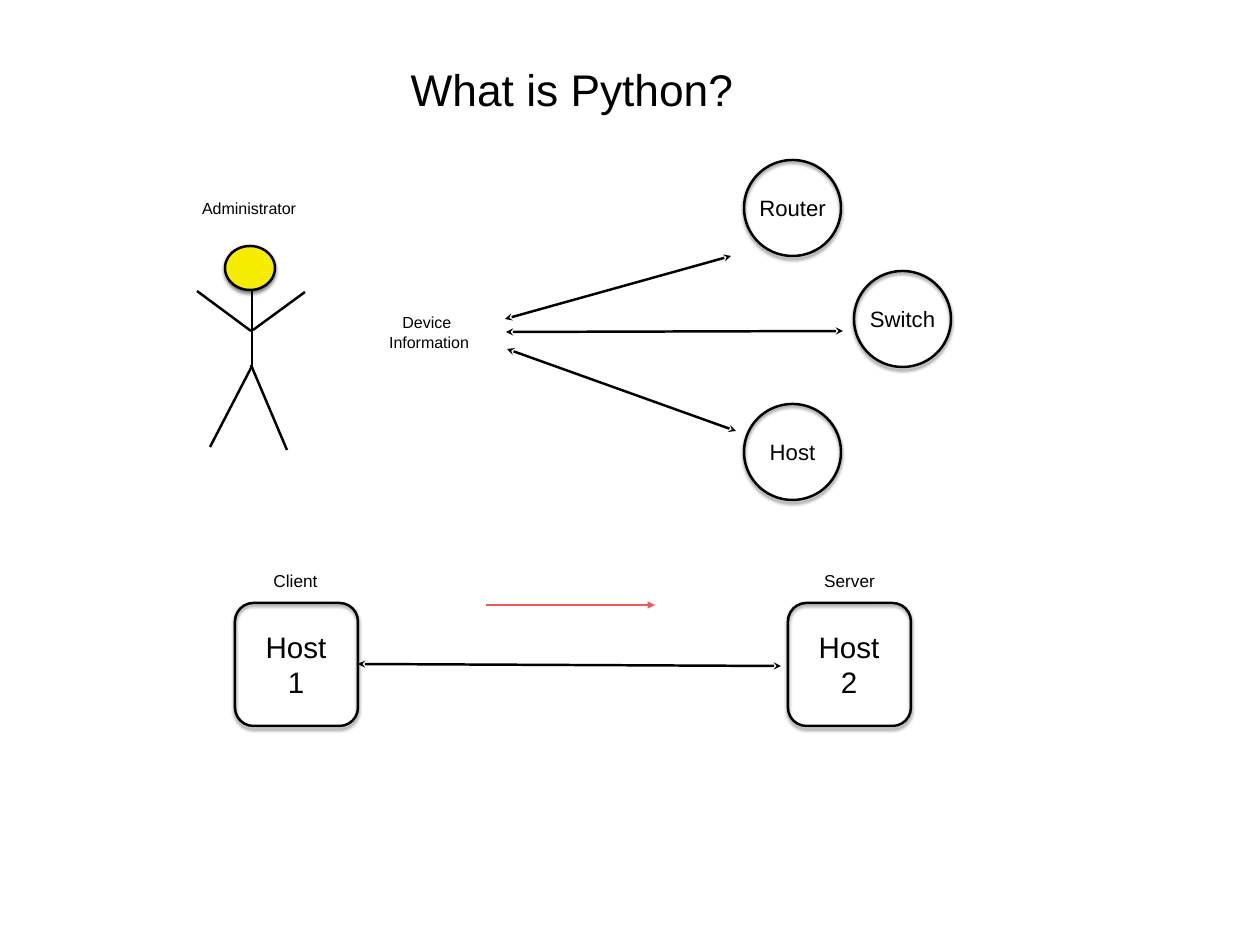
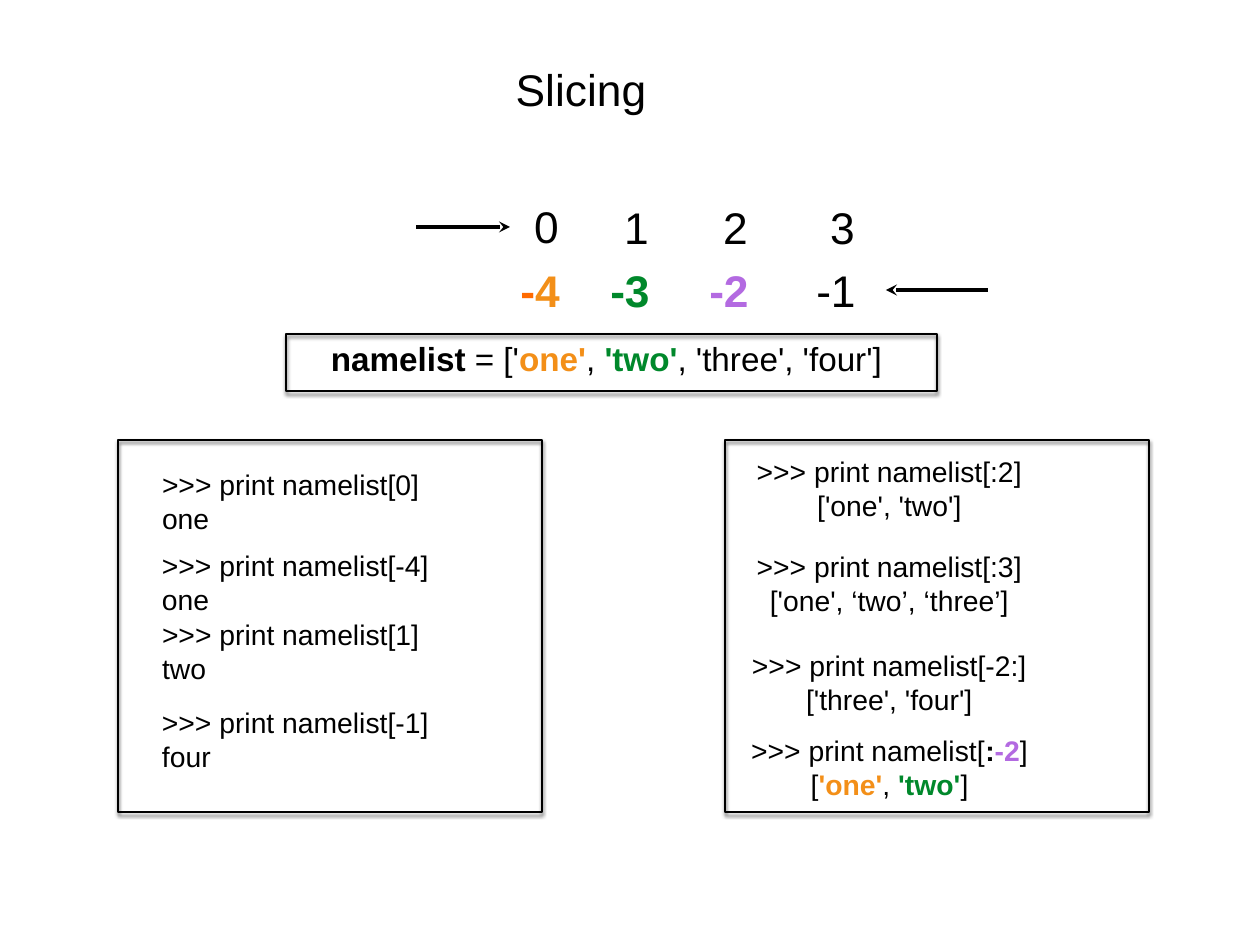
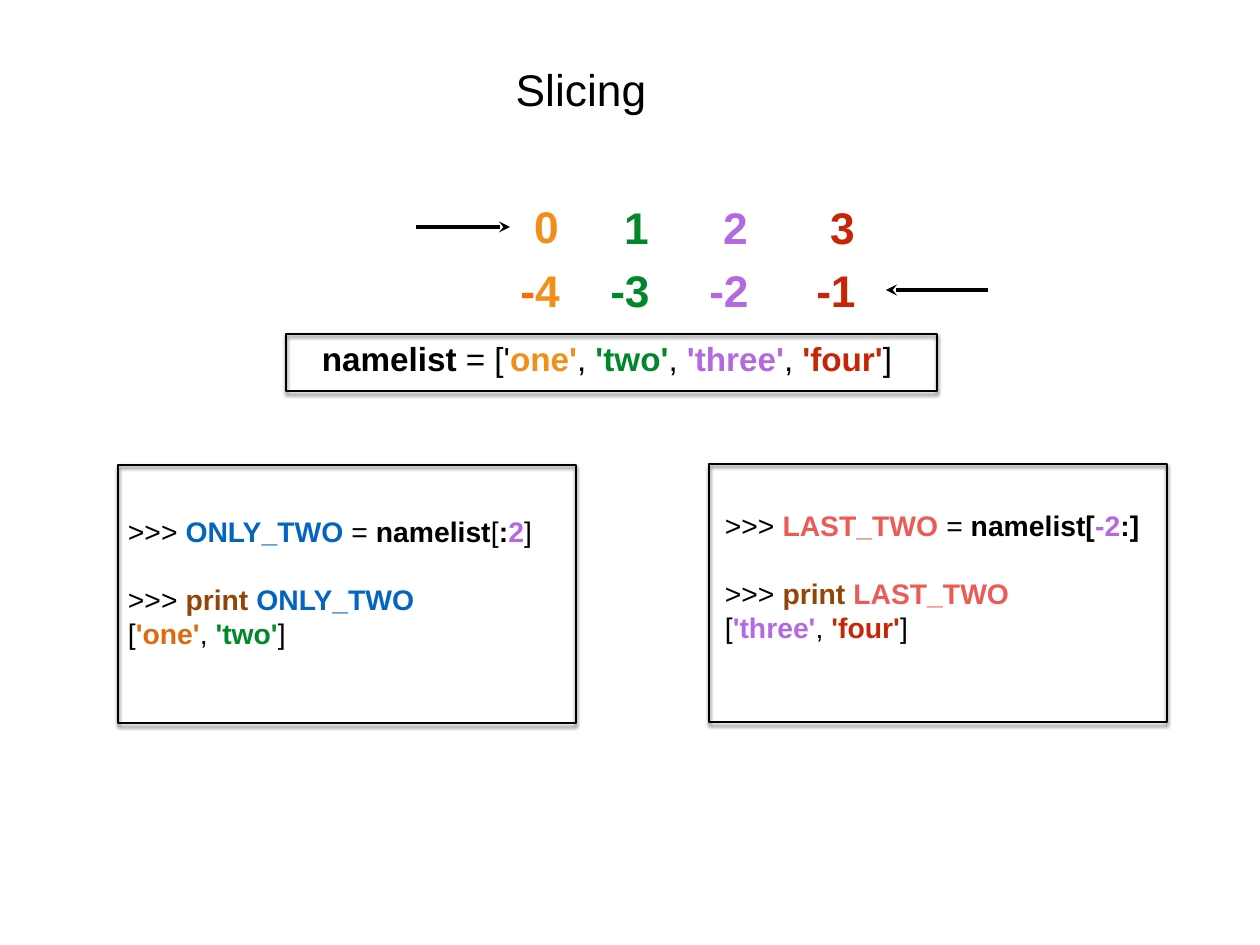
"""Build three slides on Python basics: its role in a network, and list slicing."""
from lxml.etree import SubElement
from pptx import Presentation
from pptx.dml.color import RGBColor
from pptx.enum.shapes import MSO_CONNECTOR, MSO_SHAPE
from pptx.enum.text import MSO_ANCHOR, MSO_AUTO_SIZE, PP_ALIGN
from pptx.oxml.ns import qn
from pptx.util import Emu, Pt

PX = 10320
SLIDE_SIZE = (1260, 945)
TITLE_ONLY = 5
FONT = "Arial"
SIZES = {"title": 36, "index": 36, "list": 27, "host": 24, "code": 23,
         "device": 18, "caption": 14, "note": 13}
COLORS = {"ink": "000000", "strong": "000000", "orange": "F38F18", "flame": "FF6A00",
          "rust": "DE6A10", "green": "00882B", "violet": "B36AE1", "red": "C82506",
          "blue": "0365C0", "brown": "924507", "coral": "EC5C57", "yellow": "F5EC00"}
FRAME = {"word_wrap": False, "auto_size": MSO_AUTO_SIZE.SHAPE_TO_FIT_TEXT,
         "vertical_anchor": MSO_ANCHOR.MIDDLE,
         **{f"margin_{side}": Emu(5 * PX) for side in ("left", "right", "top", "bottom")}}
SHADOW = {"blurRad": Pt(3), "dist": Pt(2), "dir": 90 * 60000, "rotWithShape": 0}
BLANK_LINE = 28

CIRCLE = (97, 96)
DEVICES = [("Router", 744, 160), ("Switch", 854, 271), ("Host", 744, 404)]
DEVICE_LABEL = (97, 37)
HOST_TOP, HOST_SIDE, HOST_LABEL = 603, 123, (80, 82)
HOSTS = [("1", 235), ("2", 788)]
NOTES = [
    (["Administrator"], (196, 194, 106, 29), "note"),
    (["Device ", "Information"], (373, 307, 112, 50), "note"),
    (["Client"], (263, 565, 65, 31), "caption"),
    (["Server"], (814, 565, 71, 31), "caption"),
]
HEAD = (225, 246, 50, 44)
LIMBS = [(252, 291, 252, 367), (251, 365, 287, 450), (252, 366, 210, 447),
         (253, 330, 305, 292), (251, 331, 197, 291)]
LINKS = [(731, 256, 505, 319), (843, 331, 506, 332), (736, 431, 507, 349),
         (781, 666, 358, 664)]
REQUEST = (486, 605, 655, 605)

COLUMNS = [(513, 191), (603, 192), (702, 192), (809, 192)]
INDEX_HEIGHT, POSITIVE_WIDTH, NEGATIVE_WIDTH = 70, 37, 54
POSITIVE_INDENT, NEGATIVE_TOP = 15, 255
POINTERS = [(886, 290, 988, 290), (510, 227, 416, 227)]
LIST_BOX = (286, 334, 651, 57)
LIST_START = [("namelist", "strong"), (" = ['", "ink"), ("one'", "orange"),
              (", ", "ink"), ("'two'", "green")]
ONE_TWO = [("[", "ink"), ("'one'", "orange"), (", ", "ink"), ("'two'", "green"), ("]", "ink")]
LEFT, CENTER = PP_ALIGN.LEFT, PP_ALIGN.CENTER

SLICING = [
    {
        "positive": ["ink"] * 4,
        "negative": ["orange", "green", "violet", "ink"],
        "list": (LIST_START + [(", 'three', 'four']", "ink")], (320, 333, 573, 50)),
        "panels": [(118, 440, 424, 372), (725, 440, 424, 372)],
        "code": [
            ([">>> print namelist[0]", "one"], (157, 462, 287, 79), LEFT),
            ([">>> print namelist[-4]", "one"], (157, 543, 297, 79), LEFT),
            ([">>> print namelist[1]", "two"], (157, 612, 287, 79), LEFT),
            ([">>> print namelist[-1]", "four"], (157, 700, 297, 79), LEFT),
            ([">>> print namelist[:2]", "['one', 'two']"], (742, 449, 295, 79), CENTER),
            ([">>> print namelist[:3]", "['one', ‘two’, ‘three’]"], (742, 544, 295, 79), CENTER),
            ([">>> print namelist[-2:]", "['three', 'four']"], (737, 643, 305, 79), CENTER),
            ([[(">>> print namelist[", "ink"), (":", "strong"), ("-2", "violet"), ("]", "ink")],
              ONE_TWO], (736, 728, 307, 79), CENTER),
        ],
    },
    {
        "positive": ["orange", "green", "violet", "red"],
        "negative": ["orange", "green", "violet", "red"],
        "list": (LIST_START + [(", ", "ink"), ("'three'", "violet"), (", ", "ink"),
                               ("'four'", "red"), ("]", "ink")], (313, 333, 588, 50)),
        "panels": [(118, 465, 458, 258), (709, 464, 458, 258)],
        "code": [
            ([[(">>> ", "ink"), ("ONLY_TWO", "blue"), (" = ", "ink"), ("namelist", "strong"),
               ("[", "ink"), (":", "strong"), ("2", "violet"), ("]", "ink")],
              [(">>> ", "ink"), ("print ", "brown"), ("ONLY_TWO", "blue")],
              [("[", "ink"), ("'one'", "rust"), (", ", "ink"), ("'two'", "green"), ("]", "ink")]],
             (123, 508, 434, 148), LEFT),
            ([[(">>> ", "ink"), ("LAST_TWO", "coral"), (" = ", "ink"), ("namelist[", "strong"),
               ("-2", "violet"), (":]", "strong")],
              [(">>> ", "ink"), ("print", "brown"), (" LAST_TWO", "coral")],
              [("[", "ink"), ("'three'", "violet"), (", ", "ink"), ("'four'", "red"),
               ("]", "ink")]],
             (720, 502, 441, 148), LEFT),
        ],
    },
]


def scale(lengths):
    return [Emu(length * PX) for length in lengths]


def color(name):
    return RGBColor.from_string(COLORS[name])


def write(box, lines, size, align=CENTER):
    frame = box.text_frame
    for name, value in FRAME.items():
        setattr(frame, name, value)
    for number, line in enumerate(lines):
        para = frame.add_paragraph() if number else frame.paragraphs[0]
        para.alignment = align
        if len(lines) == 3 and number == 1:
            para.space_before = Pt(BLANK_LINE)
        for text, tone in [(line, "ink")] if isinstance(line, str) else line:
            span = para.add_run()
            span.text = text
            span.font.color.rgb = color(tone)
            formats = {"name": FONT, "size": Pt(SIZES[size]), "bold": tone != "ink"}
            for name, value in formats.items():
                setattr(span.font, name, value)


def add_text(page, lines, place, size, align=CENTER):
    write(page.shapes.add_textbox(*scale(place)), lines, size, align)


def add_outline(page, kind, place, fill=None):
    shape = page.shapes.add_shape(kind, *scale(place))
    if fill:
        shape.fill.solid()
        shape.fill.fore_color.rgb = color(fill)
    else:
        shape.fill.background()
    shape.line.color.rgb = color("ink")
    shape.line.width = Pt(2)
    shape.shadow.inherit = False
    effects = shape.element.spPr.find(qn("a:effectLst"))
    shadow = SubElement(effects, qn("a:outerShdw"),
                        {name: str(value) for name, value in SHADOW.items()})
    shade = SubElement(shadow, qn("a:srgbClr"), val=COLORS["ink"])
    SubElement(shade, qn("a:alpha"), val="50000")
    return shape


def add_line(page, ends, tone="ink", width=2, head=None, tail=None):
    line = page.shapes.add_connector(MSO_CONNECTOR.STRAIGHT, *scale(ends))
    line.line.color.rgb = color(tone)
    line.line.width = Pt(width)
    properties = line.element.spPr
    for tag, arrow in (("a:headEnd", head), ("a:tailEnd", tail)):
        if arrow:
            SubElement(properties.find(qn("a:ln")), qn(tag), type=arrow)
    SubElement(properties, qn("a:effectLst"))


def add_page(deck, title, place):
    page = deck.slides.add_slide(deck.slide_layouts[TITLE_ONLY])
    box = page.shapes.title
    for name, value in zip(("left", "top", "width", "height"), scale(place)):
        setattr(box, name, value)
    write(box, [title], "title")
    return page


def add_centered_text(page, lines, outer, inner, size):
    left, top, width, height = outer
    place = (left + (width - inner[0]) // 2, top + (height - inner[1]) // 2, *inner)
    add_text(page, lines, place, size)


def build_network(deck):
    page = add_page(deck, "What is Python?", (395, 54, 354, 70))
    for name, left, top in DEVICES:
        place = (left, top, *CIRCLE)
        add_outline(page, MSO_SHAPE.OVAL, place)
        add_centered_text(page, [name], place, DEVICE_LABEL, "device")
    for number, left in HOSTS:
        place = (left, HOST_TOP, HOST_SIDE, HOST_SIDE)
        add_outline(page, MSO_SHAPE.ROUNDED_RECTANGLE, place).adjustments[0] = 0.15
        add_centered_text(page, ["Host", number], place, HOST_LABEL, "host")
    for link in LINKS:
        add_line(page, link, head="stealth", tail="stealth")
    for lines, place, size in NOTES:
        add_text(page, lines, place, size)
    add_outline(page, MSO_SHAPE.OVAL, HEAD, "yellow")
    for limb in LIMBS:
        add_line(page, limb)
    add_line(page, REQUEST, "coral", tail="triangle")


def build_slicing(deck, content):
    page = add_page(deck, "Slicing", (509, 54, 144, 70))
    for panel in content["panels"] + [LIST_BOX]:
        add_outline(page, MSO_SHAPE.RECTANGLE, panel)
    for index, (left, top) in enumerate(COLUMNS):
        add_text(page, [[(str(index), content["positive"][index])]],
                 (left + POSITIVE_INDENT, top, POSITIVE_WIDTH, INDEX_HEIGHT), "index")
        tone = content["negative"][index]
        sign = "flame" if index == 0 else tone
        add_text(page, [[("-", sign), (str(len(COLUMNS) - index), tone)]],
                 (left, NEGATIVE_TOP, NEGATIVE_WIDTH, INDEX_HEIGHT), "index")
    for pointer in POINTERS:
        add_line(page, pointer, width=3, head="stealth")
    spans, place = content["list"]
    add_text(page, [spans], place, "list")
    for lines, place, align in content["code"]:
        add_text(page, lines, place, "code", align)


def main():
    deck = Presentation()
    deck.slide_width, deck.slide_height = scale(SLIDE_SIZE)
    build_network(deck)
    for content in SLICING:
        build_slicing(deck, content)
    deck.save("out.pptx")


if __name__ == "__main__":
    main()
